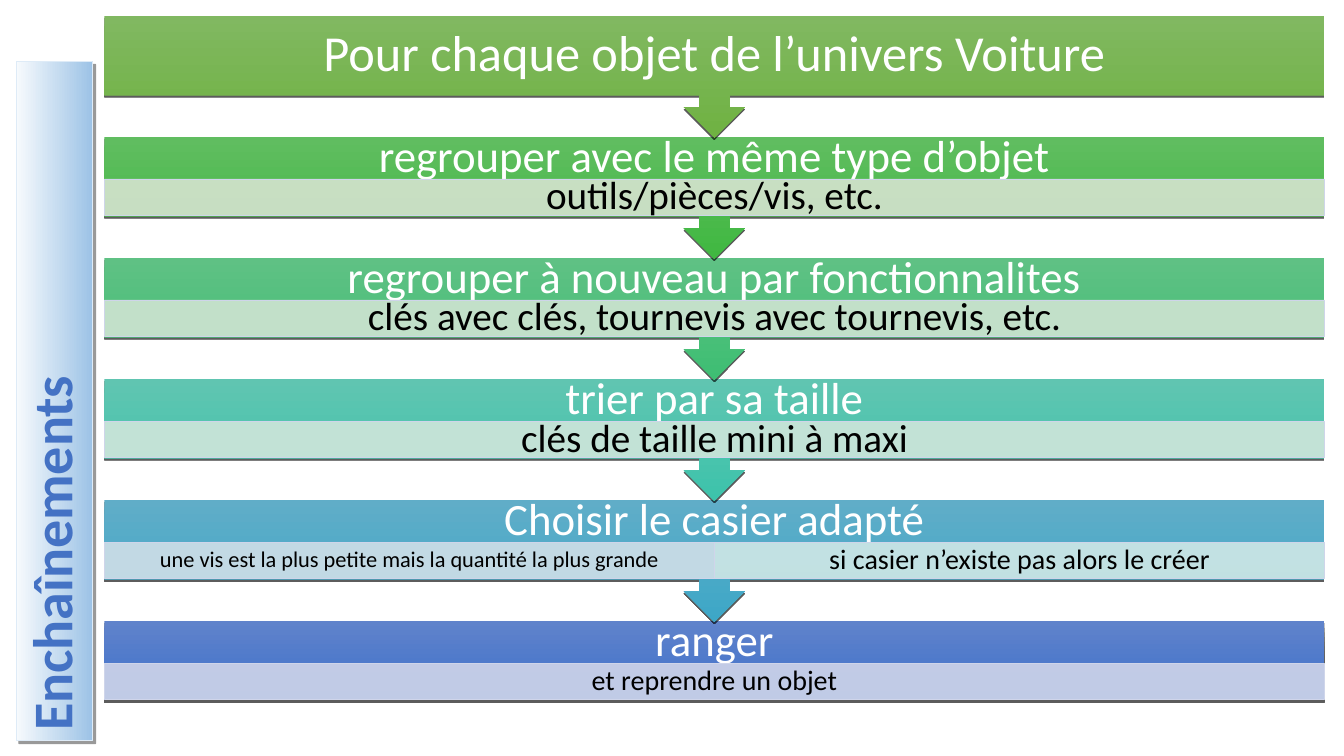
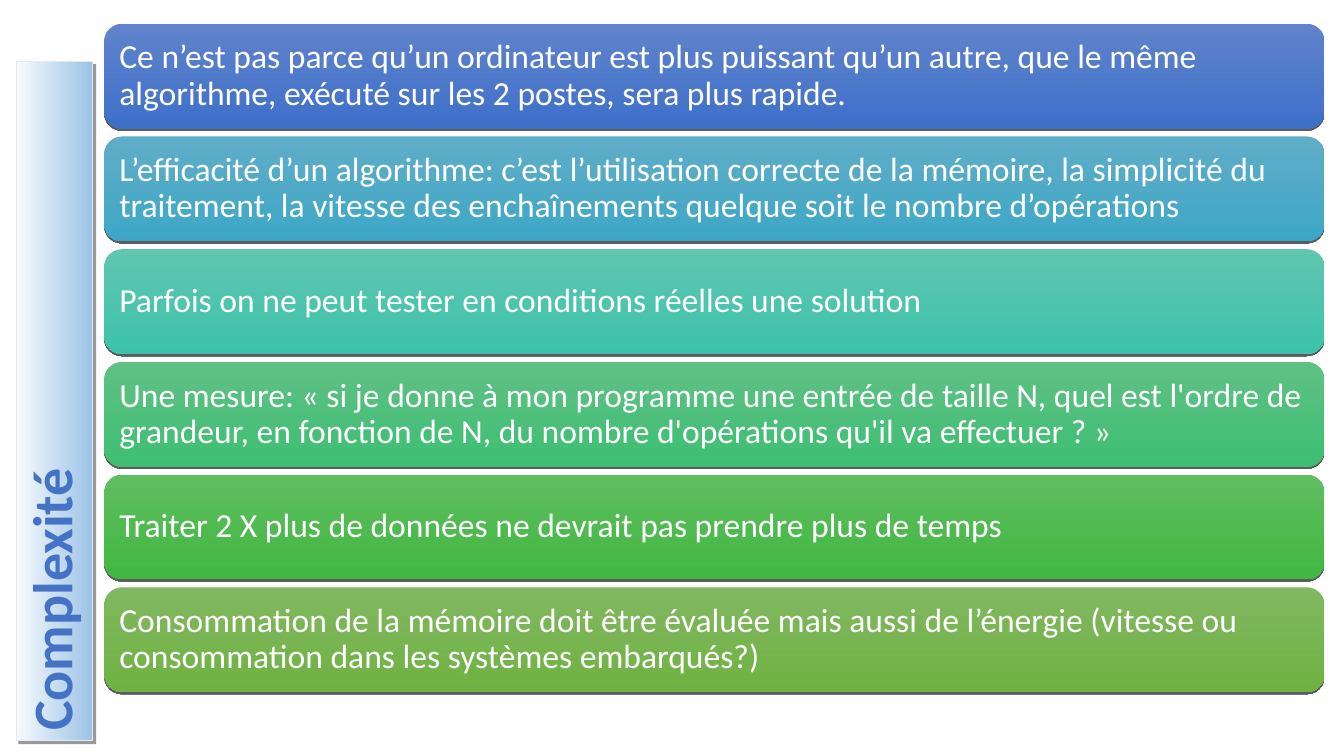
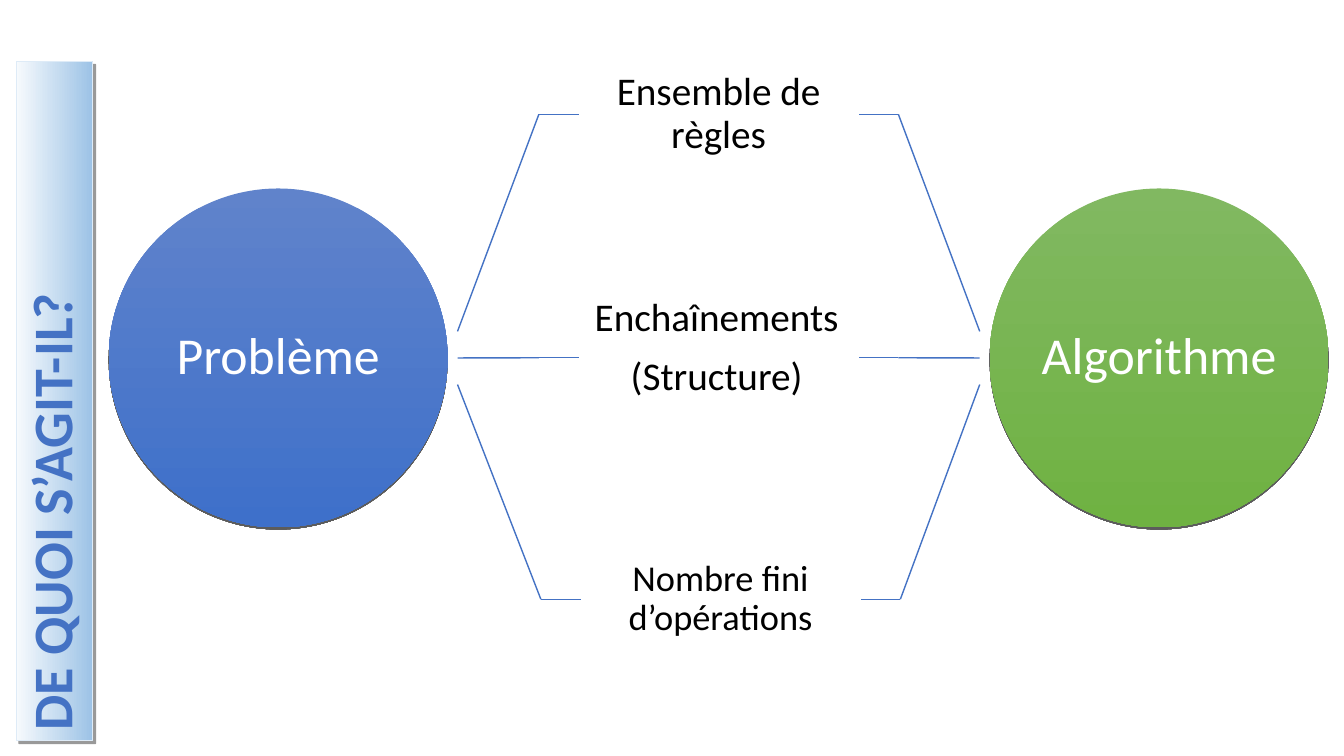
from lxml import etree
from pptx import Presentation
from pptx.dml.color import RGBColor
from pptx.enum.shapes import MSO_CONNECTOR, MSO_SHAPE
from pptx.enum.text import MSO_ANCHOR, PP_ALIGN
from pptx.oxml.ns import qn
from pptx.util import Cm, Pt

RECTANGLE = MSO_SHAPE.RECTANGLE
ROUNDED = MSO_SHAPE.ROUNDED_RECTANGLE
OVAL = MSO_SHAPE.OVAL
ARROW_CALLOUT = MSO_SHAPE.DOWN_ARROW_CALLOUT
STRAIGHT = MSO_CONNECTOR.STRAIGHT
MIDDLE = MSO_ANCHOR.MIDDLE
LEFT, CENTER = PP_ALIGN.LEFT, PP_ALIGN.CENTER
LEFT_SIDE, RIGHT_SIDE = 1, 3

COLORS = {
    "white": "FFFFFF", "black": "000000", "accent": "4472C4",
    "title_line": "DEEBF7", "band_line": "CFD5EA",
}
# Gradient stops, first to last
GRADIENTS = {
    "title": ("F7FAFD", "9DC3E6"),
    "blue": ("6083CB", "3E70CA"),
    "cyan": ("60ADC8", "3DA7C7"),
    "teal": ("60C5B1", "3DC3AB"),
    "mint": ("5FC184", "3EBE73"),
    "green": ("60BD60", "40B841"),
    "olive": ("81B861", "6FB242"),
}
SERIES = ["blue", "cyan", "teal", "mint", "green", "olive"]
# Shadow: opacity in percent, distance in points, direction in degrees
SOFT_SHADOW = (63, 1.5, 90)
TITLE_SHADOW = (40, 3, 45)

CONTENT_LEFT, CONTENT_WIDTH = 2.63, 30.75


def rgb(color):
    return RGBColor.from_string(COLORS.get(color, color))


def apply(target, values):
    for name, value in values.items():
        setattr(target, name, value)


class Deck:
    font = "Calibri"
    line_spacing = 0.9
    spacing_ratio = 0.42

    def __init__(self):
        self.presentation = Presentation()
        apply(self.presentation, {"slide_width": Cm(33.87), "slide_height": Cm(19.05)})
        self.slide = None

    def new_slide(self):
        self.slide = self.presentation.slides.add_slide(self.presentation.slide_layouts[6])

    def set_text(self, shape, lines, size, color, align=CENTER, insets=(0, 0, 0, 0),
                 bold=False, spaced=True):
        """Fill a shape with paragraphs; insets are left, top, right, bottom in cm."""
        frame = shape.text_frame
        sides = ("margin_left", "margin_top", "margin_right", "margin_bottom")
        apply(frame, {"word_wrap": True, "vertical_anchor": MIDDLE})
        apply(frame, {side: Cm(inset) for side, inset in zip(sides, insets)})
        frame.text = lines
        after = round(size * self.spacing_ratio) if spaced else 0
        for paragraph in frame.paragraphs:
            apply(paragraph, {"alignment": align, "line_spacing": self.line_spacing,
                              "space_after": Pt(after)})
            apply(paragraph.font, {"name": self.font, "size": Pt(size), "bold": bold})
            paragraph.font.color.rgb = rgb(color)

    def shape(self, kind, left, top, width, height, line=None, line_width=0.5):
        shape = self.slide.shapes.add_shape(kind, Cm(left), Cm(top), Cm(width), Cm(height))
        shape.shadow.inherit = False
        if line:
            shape.line.color.rgb = rgb(line)
            shape.line.width = Pt(line_width)
        else:
            shape.line.fill.background()
        return shape

    def gradient(self, shape, name, angle=270):
        shape.fill.gradient()
        shape.fill.gradient_angle = angle
        for stop, color in zip(shape.fill.gradient_stops, GRADIENTS[name]):
            stop.color.rgb = rgb(color)

    def shadow(self, shape, opacity, distance, direction):
        effects = shape._element.spPr.find(qn("a:effectLst"))
        outer = etree.SubElement(effects, qn("a:outerShdw"), blurRad="0",
                                 dist=str(Pt(distance)), dir=str(direction * 60000),
                                 rotWithShape="0")
        color = etree.SubElement(outer, qn("a:srgbClr"), val=COLORS["black"])
        etree.SubElement(color, qn("a:alpha"), val=str(opacity * 1000))

    def title(self, text):
        """Vertical title along the left edge."""
        shape = self.shape(RECTANGLE, -7.19, 9.14, 17.12, 1.93, "title_line", 0.75)
        shape.rotation = 270
        self.gradient(shape, "title", 0)
        shape._element.spPr.find(qn("a:gradFill")).set("rotWithShape", "0")
        self.shadow(shape, *TITLE_SHADOW)
        self.set_text(shape, text, 40, "accent", LEFT, (0.25, 0.13, 0.25, 0.13),
                      bold=True, spaced=False)

    def block(self, kind, box, gradient, text, size, **style):
        shape = self.shape(kind, *box)
        self.gradient(shape, gradient)
        self.shadow(shape, *SOFT_SHADOW)
        self.set_text(shape, text, size, "white", **style)
        return shape

    def band(self, box, fill, text, size):
        shape = self.shape(RECTANGLE, *box, line="band_line")
        shape.fill.solid()
        shape.fill.fore_color.rgb = rgb(fill)
        color = shape._element.spPr.find(qn("a:solidFill"))[0]
        etree.SubElement(color, qn("a:alpha"), val="90000")
        self.set_text(shape, text, size, "black", insets=(0.4, 0.08, 0.4, 0.08))

    def label(self, box, text, size, insets):
        shape = self.slide.shapes.add_textbox(*[Cm(value) for value in box])
        self.set_text(shape, text, size, "black", insets=insets)
        return shape

    def line(self, start, end, target=None, side=None):
        points = [Cm(value) for value in (*start, *end)]
        connector = self.slide.shapes.add_connector(STRAIGHT, *points)
        if target is not None:
            connector.end_connect(target, side)
        connector.line.color.rgb = rgb("accent")
        connector.line.width = Pt(1)
        etree.SubElement(connector._element.spPr, qn("a:effectLst"))


def build_steps(deck):
    deck.new_slide()
    top, pitch, step_height, body_height = 0.4, 3.05, 3.07, 2
    band_offset, band_height = 1.06, 0.92
    # Heading, then bands as (fill, text, size)
    steps = [
        ("Pour chaque objet de l’univers Voiture", []),
        ("regrouper avec le même type d’objet",
         [("D5E3CF", "outils/pièces/vis, etc.", 28)]),
        ("regrouper à nouveau par fonctionnalites",
         [("CFE4D2", "clés avec clés, tournevis avec tournevis, etc.", 28)]),
        ("trier par sa taille",
         [("CFE6DB", "clés de taille mini à maxi", 28)]),
        ("Choisir le casier adapté",
         [("CFDFE8", "une vis est la plus petite mais la quantité la plus grande", 16),
          ("CFE7E6", "si casier n’existe pas alors le créer", 20)]),
        ("ranger",
         [("CFD5EA", "et reprendre un objet", 20)]),
    ]
    # Last step first, so that each arrow lies over the step below it
    for index, gradient in zip(reversed(range(len(steps))), SERIES):
        heading, bands = steps[index]
        step_top = top + index * pitch
        is_last = index == len(steps) - 1
        kind, height = (RECTANGLE, body_height) if is_last else (ARROW_CALLOUT, step_height)
        size, bottom = (32, 1.57) if bands else (36, 0.64)
        shape = deck.block(kind, (CONTENT_LEFT, step_top, CONTENT_WIDTH, height), gradient,
                           heading, size, insets=(0.64, 0.64, 0.64, bottom))
        if not is_last:
            shape.adjustments[3] = 0.65
        for column, band in enumerate(bands):
            width = CONTENT_WIDTH / len(bands)
            deck.band((CONTENT_LEFT + column * width, step_top + band_offset,
                       width, band_height), *band)
    deck.title("Enchaînements")


def build_complexity(deck):
    deck.new_slide()
    top, pitch, height = 0.6, 2.84, 2.64
    statements = [
        "Ce n’est pas parce qu’un ordinateur est plus puissant qu’un autre, que le même "
        "algorithme, exécuté sur les 2 postes, sera plus rapide.",
        "L’efficacité d’un algorithme: c’est l’utilisation correcte de la mémoire, la "
        "simplicité du traitement, la vitesse des enchaînements quelque soit le nombre "
        "d’opérations",
        "Parfois on ne peut tester en conditions réelles une solution",
        "Une mesure: « si je donne à mon programme une entrée de taille N, quel est l'ordre "
        "de grandeur, en fonction de N, du nombre d'opérations qu'il va effectuer ? »",
        "Traiter 2 X plus de données ne devrait pas prendre plus de temps",
        "Consommation de la mémoire doit être évaluée mais aussi de l’énergie (vitesse ou "
        "consommation dans les systèmes embarqués?)",
    ]
    for index, (statement, gradient) in enumerate(zip(statements, SERIES)):
        deck.block(ROUNDED, (CONTENT_LEFT, top + index * pitch, CONTENT_WIDTH, height),
                   gradient, statement, 24, align=LEFT, insets=(0.25, 0.25, 0.25, 0.25))
    deck.title("Complexité")


def build_definition(deck):
    deck.new_slide()
    # Problem and algorithm circles
    diameter, circle_top = 8.54, 4.75
    for left, gradient, text in ((2.74, "blue", "Problème"), (24.94, "olive", "Algorithme")):
        deck.block(OVAL, (left, circle_top, diameter, diameter), gradient, text, 37)

    # Labels, each tied to both circles by a bent line
    label_width, elbow = 7.06, 1
    line_left, line_right = 11.53, 24.69
    line_middle, line_gap = 9.02, 0.67
    labels = [
        (14.58, 0.76, 4.24, "Ensemble de règles", 28, (0.7, 0.7, 0.7, 0.7)),
        (14.58, 5, 8.03, "Enchaînements\n(Structure)", 28, (0, 0.1, 0.1, 0.58)),
        (14.63, 12.98, 4.24, "Nombre fini d’opérations", 26, (0.64, 0.64, 0.64, 0.64)),
    ]
    for index, (left, top, height, text, size, insets) in enumerate(labels):
        label = deck.label((left, top, label_width, height), text, size, insets)
        start_y = line_middle + (index - 1) * line_gap
        label_y = top + height / 2
        right = left + label_width
        for start_x, edge, elbow_x, side in (
                (line_left, left, left - elbow, LEFT_SIDE),
                (line_right, right, right + elbow, RIGHT_SIDE)):
            deck.line((start_x, start_y), (elbow_x, label_y))
            deck.line((elbow_x, label_y), (edge, label_y), label, side)
    deck.title("DE QUOI S’AGIT-IL?")


def main():
    deck = Deck()
    build_steps(deck)
    build_complexity(deck)
    build_definition(deck)
    deck.presentation.save("out.pptx")


if __name__ == "__main__":
    main()
